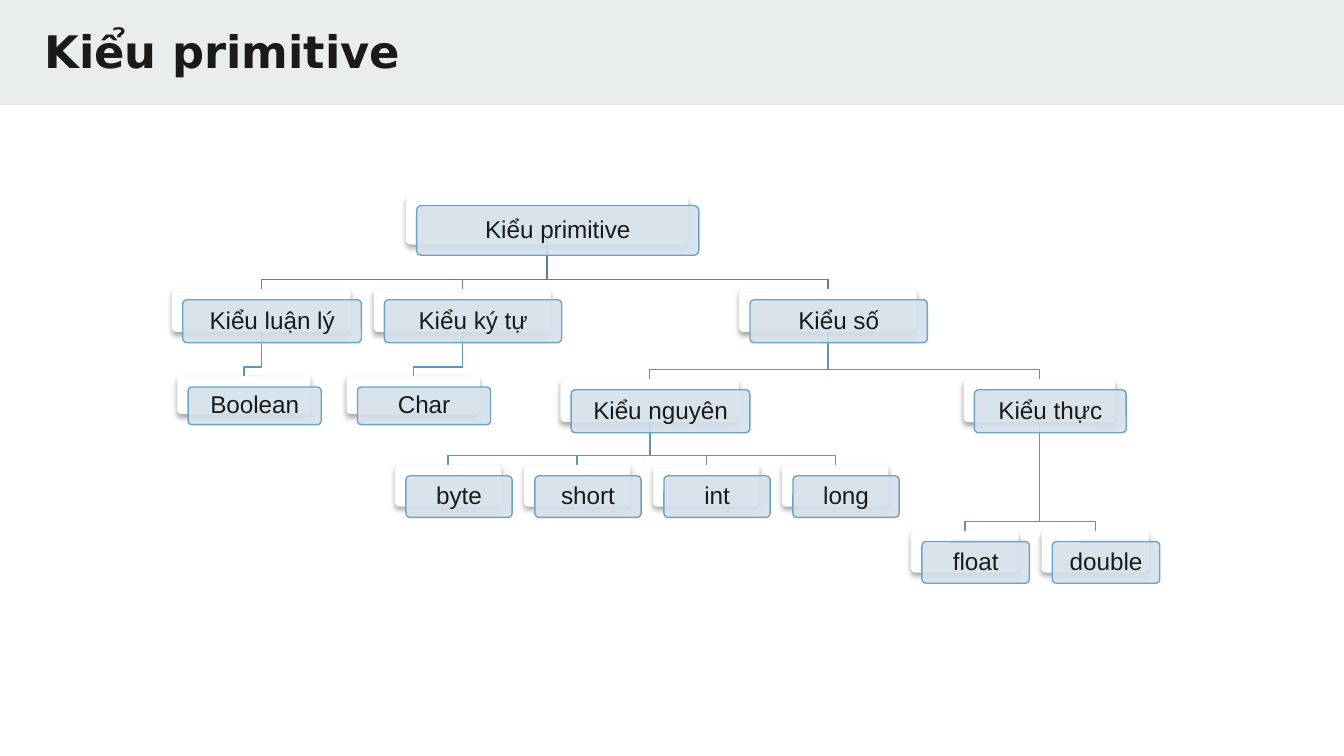
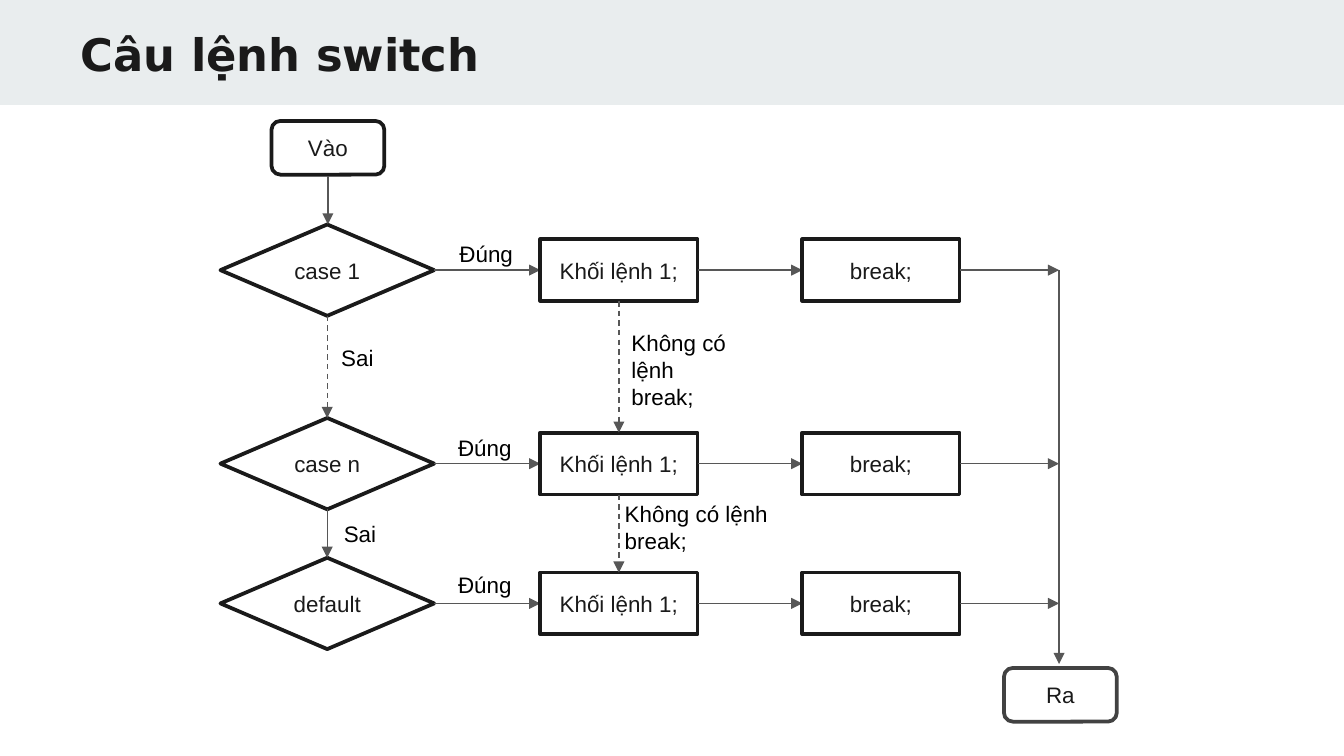
from lxml import etree
from pptx import Presentation
from pptx.dml.color import RGBColor
from pptx.enum.dml import MSO_LINE
from pptx.enum.shapes import MSO_CONNECTOR, MSO_SHAPE
from pptx.enum.text import MSO_ANCHOR, MSO_AUTO_SIZE, PP_ALIGN
from pptx.oxml.ns import qn
from pptx.util import Inches, Pt

ROUND, RECT = MSO_SHAPE.ROUNDED_RECTANGLE, MSO_SHAPE.RECTANGLE
DIAMOND = MSO_SHAPE.DIAMOND
STRAIGHT, DASH = MSO_CONNECTOR.STRAIGHT, MSO_LINE.DASH
TOP, MIDDLE = MSO_ANCHOR.TOP, MSO_ANCHOR.MIDDLE
LEFT, CENTER = PP_ALIGN.LEFT, PP_ALIGN.CENTER
NO_FIT, GROW = MSO_AUTO_SIZE.NONE, MSO_AUTO_SIZE.SHAPE_TO_FIT_TEXT

HEX = {
    "band": "E9EDEE", "ink": "1A1A1A", "label": "000000", "white": "FFFFFF",
    "card": "D4E0EB", "edge": "6AA4C8", "trunk": "5583A0", "branch": "6095B6",
    "arrow": "575757", "exit": "424242",
}

# Type tree: key -> label, left, top, width, height, parent
TREE = {
    "root": ("Kiểu primitive", 3.02, 1.45, 2.1, 0.37, None),
    "bool": ("Kiểu luận lý", 1.28, 2.15, 1.33, 0.32, "root"),
    "boolean": ("Boolean", 1.32, 2.8, 0.99, 0.28, "bool"),
    "sign": ("Kiểu ký tự", 2.78, 2.15, 1.32, 0.32, "root"),
    "char": ("Char", 2.58, 2.8, 0.99, 0.28, "sign"),
    "num": ("Kiểu số", 5.5, 2.15, 1.32, 0.32, "root"),
    "whole": ("Kiểu nguyên", 4.17, 2.82, 1.33, 0.32, "num"),
    "real": ("Kiểu thực", 7.17, 2.82, 1.13, 0.32, "num"),
}
# Rows of leaves: labels, first left, top, width, step, parent
LEAVES = [
    (("byte", "short", "int", "long"), 2.94, 3.46, 0.79, 0.96, "whole"),
    (("float", "double"), 6.78, 3.95, 0.8, 0.97, "real"),
]
for names, left, top, wide, step, parent in LEAVES:
    for i, name in enumerate(names):
        TREE[name] = (name, left + i * step, top, wide, 0.31, parent)

# Switch flow: case label and middle height of each row
ROWS = [("case 1", 2.01), ("case n", 3.45), ("default", 4.49)]
# Columns: shape, left, width, height, label (None takes the case label)
COLS = [
    (DIAMOND, 1.64, 1.59, 0.68, None),
    (RECT, 4.02, 1.17, 0.46, "Khối lệnh 1;"),
    (RECT, 5.97, 1.17, 0.46, "break;"),
]
ENDS = [("Vào", 2.02, 0.9, "ink"), ("Ra", 7.47, 4.97, "exit")]
EXIT_X = 7.88
LABELS = [
    ("Đúng", 3.32, 1.74, 0.62, 0.3),
    ("Đúng", 3.31, 3.18, 0.62, 0.3),
    ("Đúng", 3.31, 4.2, 0.62, 0.3),
    ("Sai", 2.44, 2.51, 0.62, 0.3),
    ("Sai", 2.46, 3.82, 0.62, 0.3),
    ("Không có lệnh break;", 4.6, 2.4, 1.01, 0.71),
    ("Không có lệnh break;", 4.55, 3.67, 1.29, 0.5),
]


def rgb(key):
    return RGBColor.from_string(HEX[key])


def write(shape, text, size=12, font="Arial", color="ink", bold=False,
          align=CENTER, anchor=MIDDLE, inset=(0.1, 0.05), fit=NO_FIT,
          lead=None):
    frame = shape.text_frame
    frame.word_wrap, frame.auto_size = True, fit
    frame.vertical_anchor = anchor
    frame.margin_left = frame.margin_right = Inches(inset[0])
    frame.margin_top = frame.margin_bottom = Inches(inset[1])
    para = frame.paragraphs[0]
    para.alignment, para.line_spacing = align, lead
    run = para.add_run()
    run.text = text
    run.font.size, run.font.name, run.font.bold = Pt(size), font, bold
    run.font.color.rgb = rgb(color)


def box(slide, kind, at, fill=None, line=None, width=0.75):
    shape = slide.shapes.add_shape(kind, *map(Inches, at))
    shape.shadow.inherit = False
    if fill:
        shape.fill.solid()
        shape.fill.fore_color.rgb = rgb(fill)
    else:
        shape.fill.background()
    if line:
        shape.line.color.rgb = rgb(line)
        shape.line.width = Pt(width)
    else:
        shape.line.fill.background()
    return shape


def add(node, tag, **attrs):
    return etree.SubElement(node, qn(tag), attrs)


def start(deck, title, left, top, wide):
    """Add a slide with the shared band and title."""
    slide = deck.slides.add_slide(deck.slide_layouts[5])
    band = box(slide, RECT, (0, 0, 10, 0.78), fill="band")
    slide.shapes._spTree.insert(2, band._element)
    head = slide.shapes.title
    head.left, head.top = Inches(left), Inches(top)
    head.width, head.height = Inches(wide), Inches(0.73)
    write(head, title, size=24, font="DejaVu Sans", bold=True, align=LEFT,
          anchor=TOP, inset=(0.1, 0.1))
    return slide


def branch(slide, node):
    """Draw the elbow from a parent card to its child."""
    _, left, top, wide, _, parent = node
    if not parent:
        return
    _, px, py, pw, ph, _ = TREE[parent]
    x1, y1, x2, mid = px + pw / 2, py + ph, left + wide / 2, top - 0.07
    pen = slide.shapes.build_freeform(Inches(x1), Inches(y1))
    bends = [(x1, mid), (x2, mid), (x2, top)]
    pen.add_line_segments([(Inches(x), Inches(y)) for x, y in bends],
                          close=False)
    elbow = pen.convert_to_shape()
    elbow.shadow.inherit = False
    elbow.fill.background()
    elbow.line.color.rgb = rgb("trunk" if parent == "root" else "branch")
    elbow.line.width = Pt(0.75)


def card(slide, node):
    """Draw a white shadowed back and a tinted front with text."""
    text, left, top, wide, high, _ = node
    back = box(slide, ROUND, (left, top, wide, high), fill="white")
    effect = back._element.spPr.find(qn("a:effectLst"))
    shade = add(effect, "a:outerShdw", blurRad=str(Pt(3.1)),
                dist=str(Pt(1.8)), dir="5400000", rotWithShape="0")
    add(add(shade, "a:srgbClr", val="000000"), "a:alpha", val="35000")
    front = box(slide, ROUND, (left + 0.08, top + 0.08, wide, high),
                fill="card", line="edge")
    tint = front._element.spPr.find(qn("a:solidFill"))[0]
    add(tint, "a:alpha", val="90000")
    back.adjustments[0] = front.adjustments[0] = 0.1
    write(front, text, size=13, inset=(0.05, 0.05), lead=0.9)


def arrow(slide, x1, y1, x2, y2, dash=False):
    wire = slide.shapes.add_connector(STRAIGHT, *map(Inches, (x1, y1, x2, y2)))
    wire.line.color.rgb = rgb("arrow")
    wire.line.width = Pt(0.75)
    if dash:
        wire.line.dash_style = DASH
    props = wire._element.spPr
    add(props.find(qn("a:ln")), "a:tailEnd", type="triangle")
    add(props, "a:effectLst")


def tree(deck):
    slide = start(deck, "Kiểu primitive", 0.23, 0.08, 8.41)
    for draw in (branch, card):
        for node in TREE.values():
            draw(slide, node)


def flow(deck):
    slide = start(deck, "Câu lệnh switch", 0.5, 0.1, 8.63)
    for text, left, top, line in ENDS:
        write(box(slide, ROUND, (left, top, 0.84, 0.4), line=line, width=2),
              text)

    # Shapes of each row and the arrows to their right
    nexts = [col[1] for col in COLS[1:]] + [EXIT_X]
    for case, mid in ROWS:
        for (kind, left, wide, high, text), goal in zip(COLS, nexts):
            at = (left, mid - high / 2, wide, high)
            write(box(slide, kind, at, line="ink", width=2), text or case)
            arrow(slide, left + wide, mid, goal, mid)

    # Arrows down: entry, cases, missing breaks, exit
    mids = [mid for _, mid in ROWS]
    arrow(slide, 2.44, 1.31, 2.44, mids[0] - 0.34)
    for _, left, wide, high, _ in COLS[:2]:
        x = left + wide / 2
        for i, (a, b) in enumerate(zip(mids, mids[1:])):
            dash = left > 4 or i == 0
            arrow(slide, x, a + high / 2, x, b - high / 2, dash=dash)
    arrow(slide, EXIT_X, mids[0], EXIT_X, 4.94)

    for text, *at in LABELS:
        note = slide.shapes.add_textbox(*map(Inches, at))
        write(note, text, color="label", align=LEFT, anchor=TOP, fit=GROW)


def main():
    deck = Presentation()
    deck.slide_width = Inches(10)
    deck.slide_height = Inches(10) * 9 // 16
    tree(deck)
    flow(deck)
    deck.save("out.pptx")


if __name__ == "__main__":
    main()
